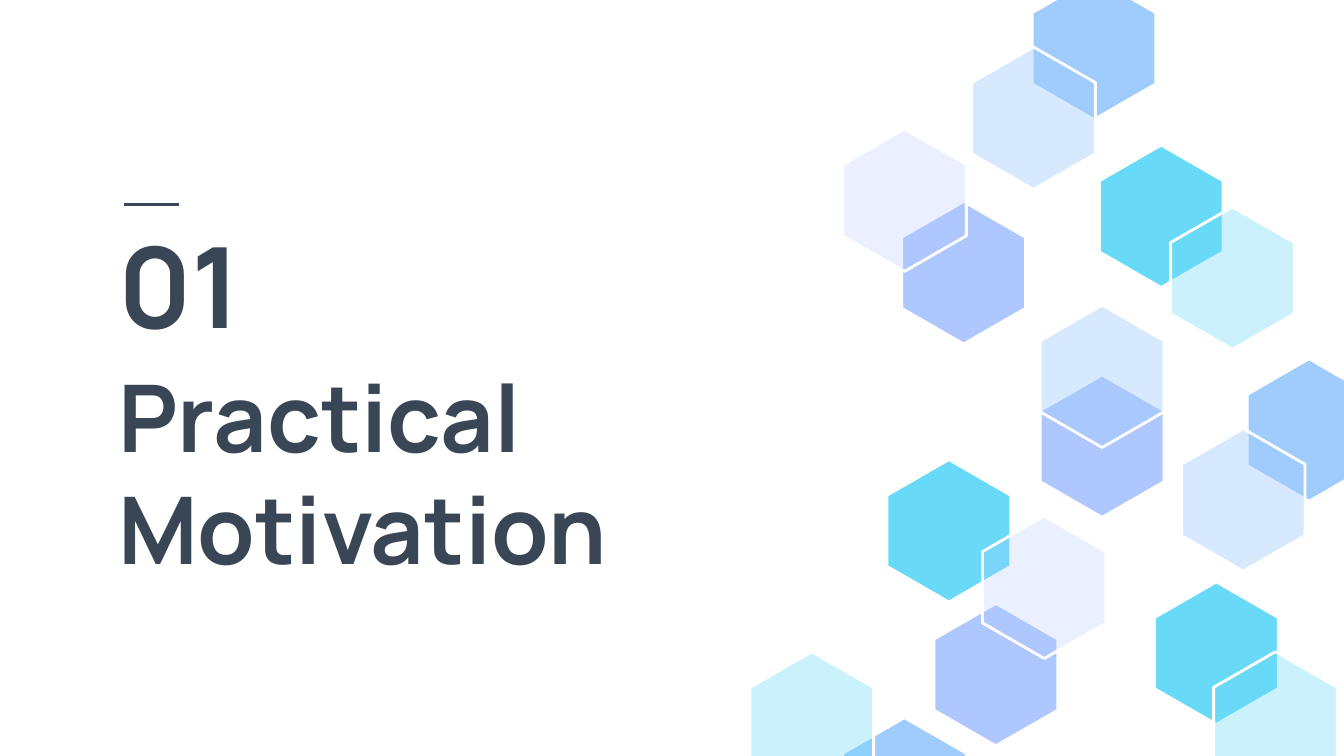
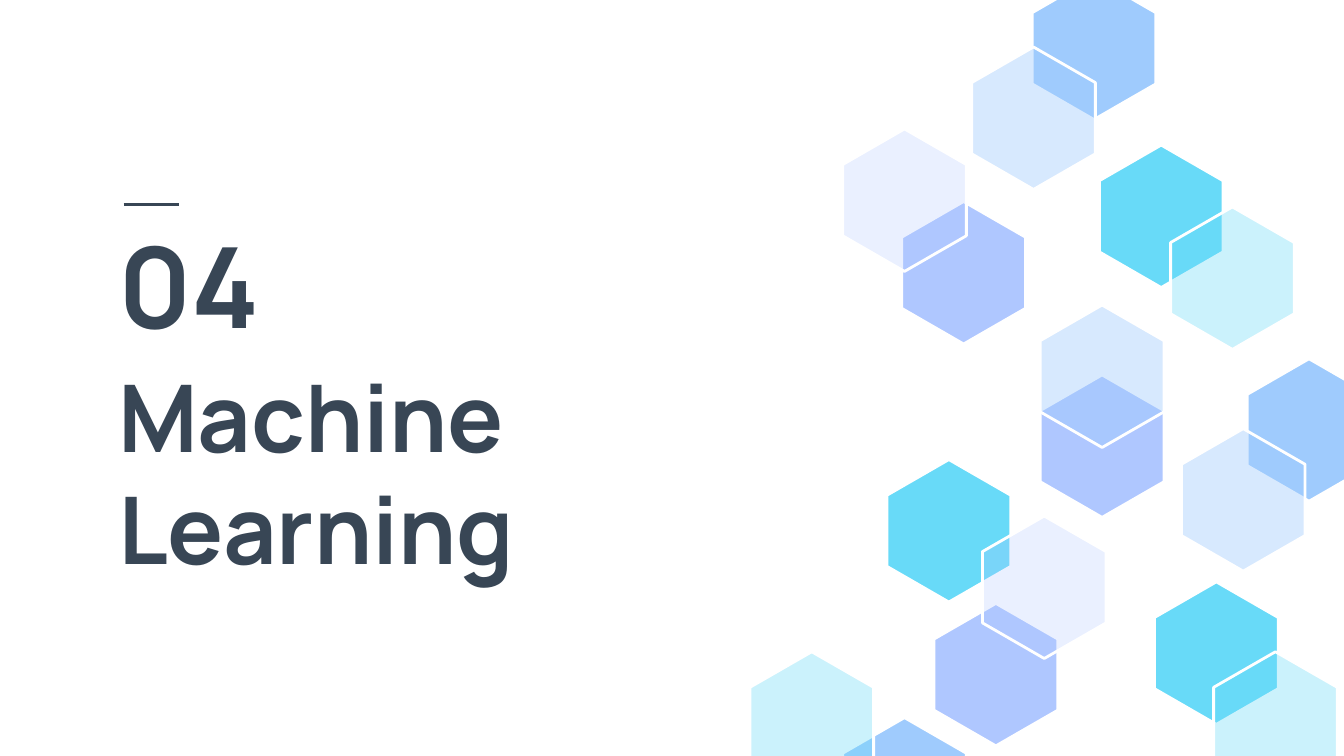
from lxml import etree
from pptx import Presentation
from pptx.dml.color import RGBColor
from pptx.enum import shapes, text
from pptx.oxml import ns
from pptx.util import Inches, Pt

FONT = "Manrope"
INK, WHITE = "384655", "FFFFFF"
BLUE, LILAC, CYAN = "9FCBFD", "AFC7FF", "68DAF8"
PALE = {BLUE: 41, LILAC: 25, CYAN: 34}  # opacity in percent
WIDE, HIGH = 0.92, 1.06

# left, top, colour, pale; from back to front
CELLS = [
    (7.74, 2.79, LILAC, False),
    (7.68, -0.17, BLUE, False),
    (7.23, 0.35, BLUE, True),
    (6.71, 1.5, LILAC, False),
    (6.27, 0.96, LILAC, True),
    (8.18, 1.08, CYAN, False),
    (7.74, 2.27, BLUE, True),
    (8.71, 1.54, CYAN, True),
    (6.6, 3.42, CYAN, False),
    (6.95, 4.49, LILAC, False),
    (6.27, 5.34, BLUE, False),
    (7.31, 3.84, LILAC, True),
    (5.58, 4.85, CYAN, True),
    (9.28, 2.67, BLUE, False),
    (8.79, 3.19, BLUE, True),
    (8.59, 4.33, CYAN, False),
    (9.03, 4.85, CYAN, True),
]
PARTS = [("01", "Practical Motivation"), ("04", "Machine Learning")]


def paint(fill, code):
    fill.solid()
    fill.fore_color.rgb = RGBColor.from_string(code)


def stroke(line, code):
    paint(line.fill, code)
    line.width = Pt(1.5)


def fade(shape, share):
    """Set the opacity of a solid fill, in percent."""
    tone = shape._element.spPr.find(ns.qn("a:solidFill"))[0]
    etree.SubElement(tone, ns.qn("a:alpha"), val=str(share * 1000))


def hexagon(group, left, top, code, pale):
    mid, right = left + WIDE / 2, left + WIDE
    upper, lower = top + HIGH / 4, top + HIGH * 3 / 4
    points = [(mid, top), (left, upper), (left, lower),
              (mid, top + HIGH), (right, lower), (right, upper)]
    first, *rest = [(Inches(x), Inches(y)) for x, y in points]
    pen = group.shapes.build_freeform(*first)
    pen.add_line_segments(rest, close=True)
    shape = pen.convert_to_shape()
    shape.shadow.inherit = False
    paint(shape.fill, code)
    stroke(shape.line, WHITE)
    if pale:
        fade(shape, PALE[code])


def label(slide, words, place, size, anchor):
    box = slide.shapes.add_textbox(*map(Inches, place))
    frame = box.text_frame
    edge = Inches(0.1)
    look = {"word_wrap": True, "vertical_anchor": anchor,
            "margin_left": edge, "margin_right": edge,
            "margin_top": edge, "margin_bottom": edge}
    for key, value in look.items():
        setattr(frame, key, value)
    run = frame.paragraphs[0].add_run()
    run.text = words
    for key, value in {"name": FONT, "size": Pt(size), "bold": True}.items():
        setattr(run.font, key, value)
    paint(run.font.fill, INK)


def rule(slide, start, end, top):
    line = slide.shapes.add_connector(
        shapes.MSO_CONNECTOR.STRAIGHT,
        Inches(start), Inches(top), Inches(end), Inches(top))
    stroke(line.line, INK)
    etree.SubElement(line._element.spPr, ns.qn("a:effectLst"))


def section(deck, number, title):
    slide = deck.slides.add_slide(deck.slide_layouts[6])
    paint(slide.background.fill, WHITE)
    label(slide, title, (0.78, 2.61, 4.75, 1.83), 50, text.MSO_ANCHOR.BOTTOM)
    label(slide, number, (0.78, 1.61, 1.38, 1), 60, text.MSO_ANCHOR.MIDDLE)
    group = slide.shapes.add_group_shape()
    for cell in CELLS:
        hexagon(group, *cell)
    rule(slide, 0.92, 1.33, 1.52)


def main():
    deck = Presentation()
    deck.slide_width = Inches(10)
    deck.slide_height = Inches(10 * 9 / 16)
    for number, title in PARTS:
        section(deck, number, title)
    deck.save("out.pptx")


if __name__ == "__main__":
    main()
